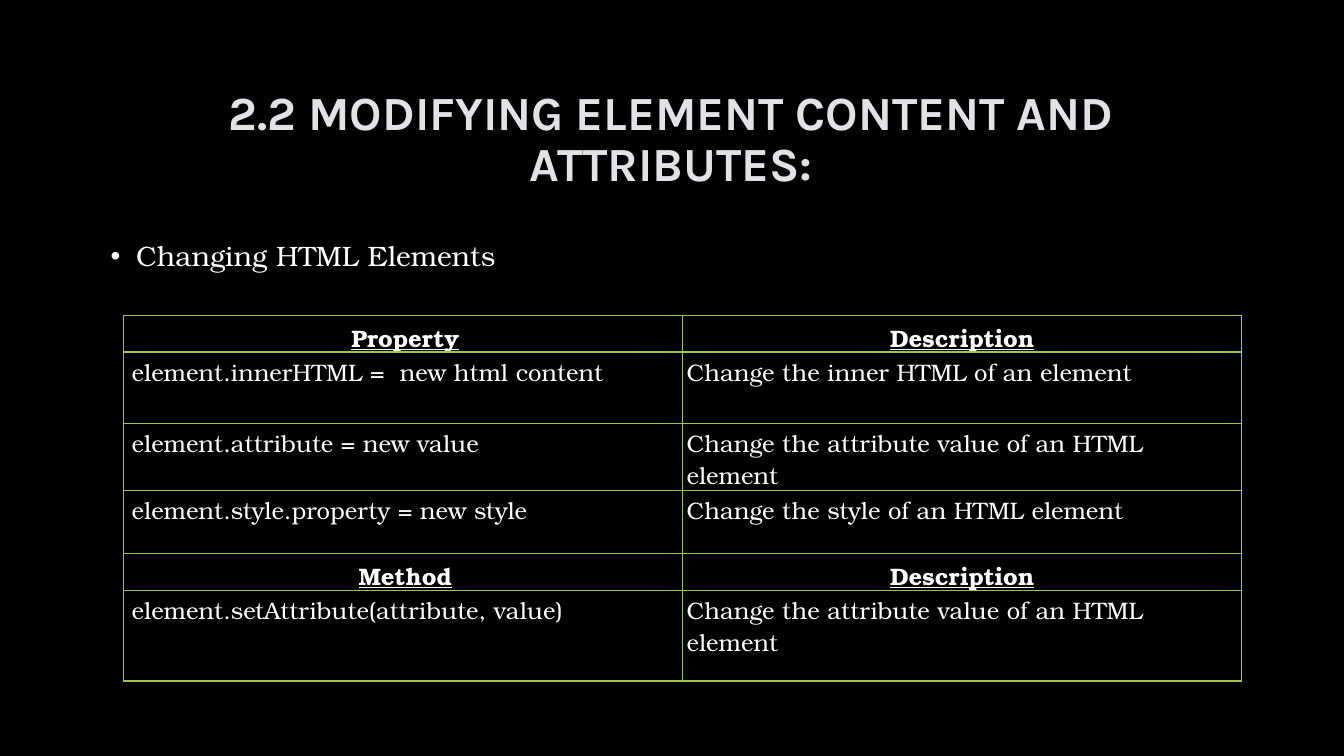
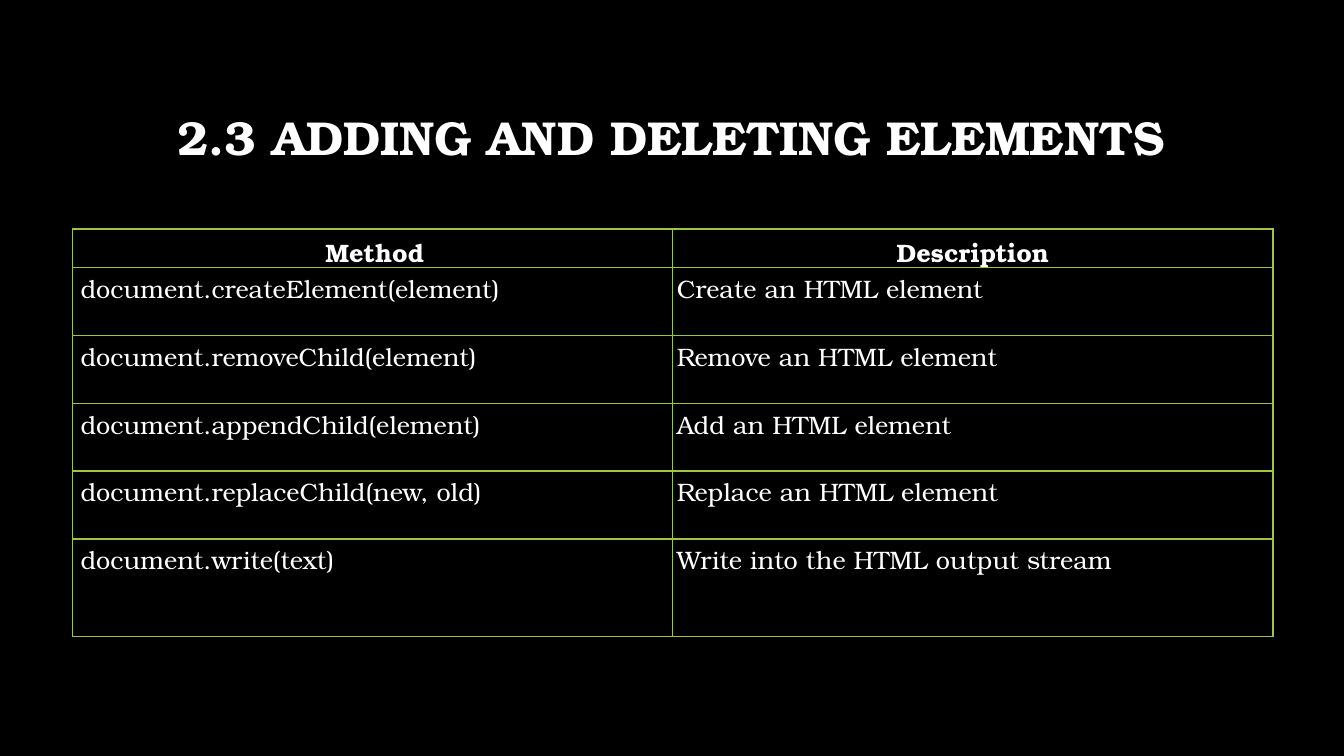
from pptx import Presentation
from pptx.dml.color import RGBColor
from pptx.enum.text import MSO_ANCHOR, PP_ALIGN
from pptx.oxml import parse_xml
from pptx.oxml.ns import nsdecls
from pptx.util import Cm, Pt

BLACK = "000000"
WHITE = "FFFFFF"
SILVER = "E2E2E5"
GREEN = "9EC544"
SERIF = "TeX Gyre Bonum"
SANS = "Karla"

TITLE_BOX = (2.54, 1.7, 28.75, 3.68)
BODY_BOX = (2.54, 5.72, 28.75, 1.68)


def color(value):
    return RGBColor.from_string(value)


def add_page(deck):
    page = deck.slides.add_slide(deck.slide_layouts[6])
    page.background.fill.solid()
    page.background.fill.fore_color.rgb = color(BLACK)
    return page


def add_span(para, text, size, font=SERIF, ink=WHITE, bold=False, underline=False):
    span = para.add_run()
    span.text = text
    span.font.name = font
    span.font.size = Pt(size)
    span.font.color.rgb = color(ink)
    span.font.bold = bold
    span.font.underline = underline


def add_text_box(page, box, anchor):
    frame = page.shapes.add_textbox(*map(Cm, box)).text_frame
    frame.word_wrap = True
    frame.vertical_anchor = anchor
    return frame.paragraphs[0]


def add_title(page, text, font=SERIF, ink=WHITE):
    para = add_text_box(page, TITLE_BOX, MSO_ANCHOR.MIDDLE)
    para.alignment = PP_ALIGN.CENTER
    para.line_spacing = 0.9
    add_span(para, text, 34, font, ink, bold=True)


def add_bullet(page, text):
    para = add_text_box(page, BODY_BOX, MSO_ANCHOR.TOP)
    para.line_spacing = 1.2
    properties = para._p.get_or_add_pPr()
    properties.set("marL", str(Cm(0.64)))
    properties.set("indent", str(-Cm(0.64)))
    properties.append(parse_xml(f'<a:buFont {nsdecls("a")} typeface="Arial"/>'))
    properties.append(parse_xml(f'<a:buChar {nsdecls("a")} char="•"/>'))
    add_span(para, text, 20)


def add_borders(cell):
    properties = cell._tc.get_or_add_tcPr()
    for side in ("lnL", "lnR", "lnT", "lnB"):
        properties.append(parse_xml(
            f'<a:{side} {nsdecls("a")} w="{Pt(1)}"><a:solidFill>'
            f'<a:srgbClr val="{GREEN}"/></a:solidFill></a:{side}>'))


def add_reference_table(page, box, heights, rows, size, headings=(0,), underline=False):
    """Two equal columns; the rows listed in headings are bold and centred."""
    left, top, width = box
    table = page.shapes.add_table(
        len(rows), 2, Cm(left), Cm(top), Cm(width), Cm(sum(heights))).table
    table.first_row = table.horz_banding = False
    for column in table.columns:
        column.width = Cm(width / 2)
    for index, (height, texts) in enumerate(zip(heights, rows)):
        table.rows[index].height = Cm(height)
        heading = index in headings
        for cell, text, margin in zip(table.rows[index].cells, texts, (0.2, 0.1)):
            add_borders(cell)
            cell.fill.background()
            cell.margin_left = Cm(margin)
            cell.margin_right = cell.margin_top = cell.margin_bottom = Cm(0.1)
            para = cell.text_frame.paragraphs[0]
            para.alignment = PP_ALIGN.CENTER if heading else PP_ALIGN.LEFT
            add_span(para, text, size, bold=heading, underline=heading and underline)


def build_modifying_page(deck):
    page = add_page(deck)
    add_title(page, "2.2 MODIFYING ELEMENT CONTENT AND ATTRIBUTES:", SANS, SILVER)
    add_bullet(page, "Changing HTML Elements")
    rows = [
        ("Property", "Description"),
        ("element.innerHTML =  new html content", "Change the inner HTML of an element"),
        ("element.attribute = new value", "Change the attribute value of an HTML element"),
        ("element.style.property = new style", "Change the style of an HTML element"),
        ("Method", "Description"),
        ("element.setAttribute(attribute, value)",
         "Change the attribute value of an HTML element"),
    ]
    add_reference_table(page, (3.12, 7.95, 28.17), (0.9, 1.8, 1.68, 1.6, 0.9, 2.29),
                        rows, 17, headings=(0, 4), underline=True)


def build_adding_page(deck):
    page = add_page(deck)
    add_title(page, "2.3 ADDING AND DELETING ELEMENTS")
    rows = [
        ("Method", "Description"),
        ("document.createElement(element)", "Create an HTML element"),
        ("document.removeChild(element)", "Remove an HTML element"),
        ("document.appendChild(element)", "Add an HTML element"),
        ("document.replaceChild(new, old)", "Replace an HTML element"),
        ("document.write(text)", "Write into the HTML output stream"),
    ]
    add_reference_table(page, (1.83, 5.77, 30.25), (0.97, *[1.71] * 4, 2.46), rows, 18)


def main():
    deck = Presentation()
    deck.slide_width = Cm(33.87)
    deck.slide_height = Cm(19.05)
    build_modifying_page(deck)
    build_adding_page(deck)
    deck.save("out.pptx")


if __name__ == "__main__":
    main()
